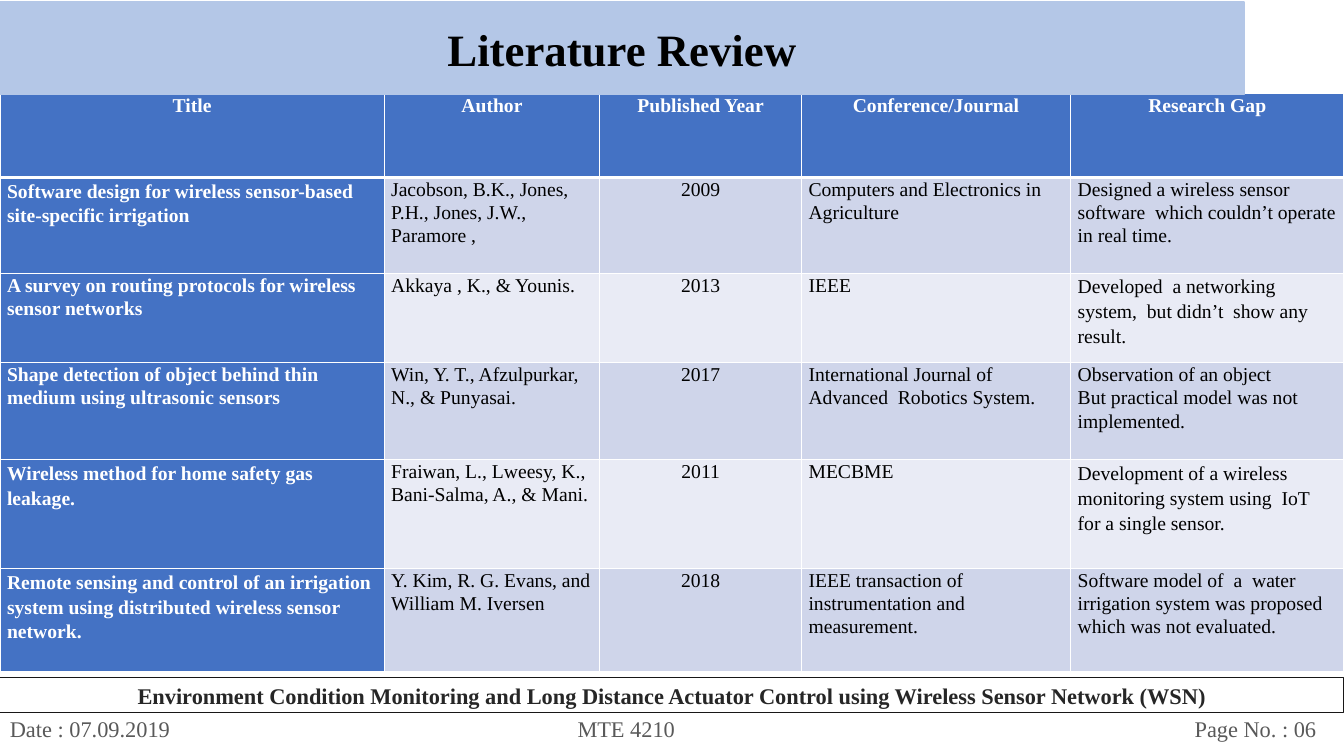
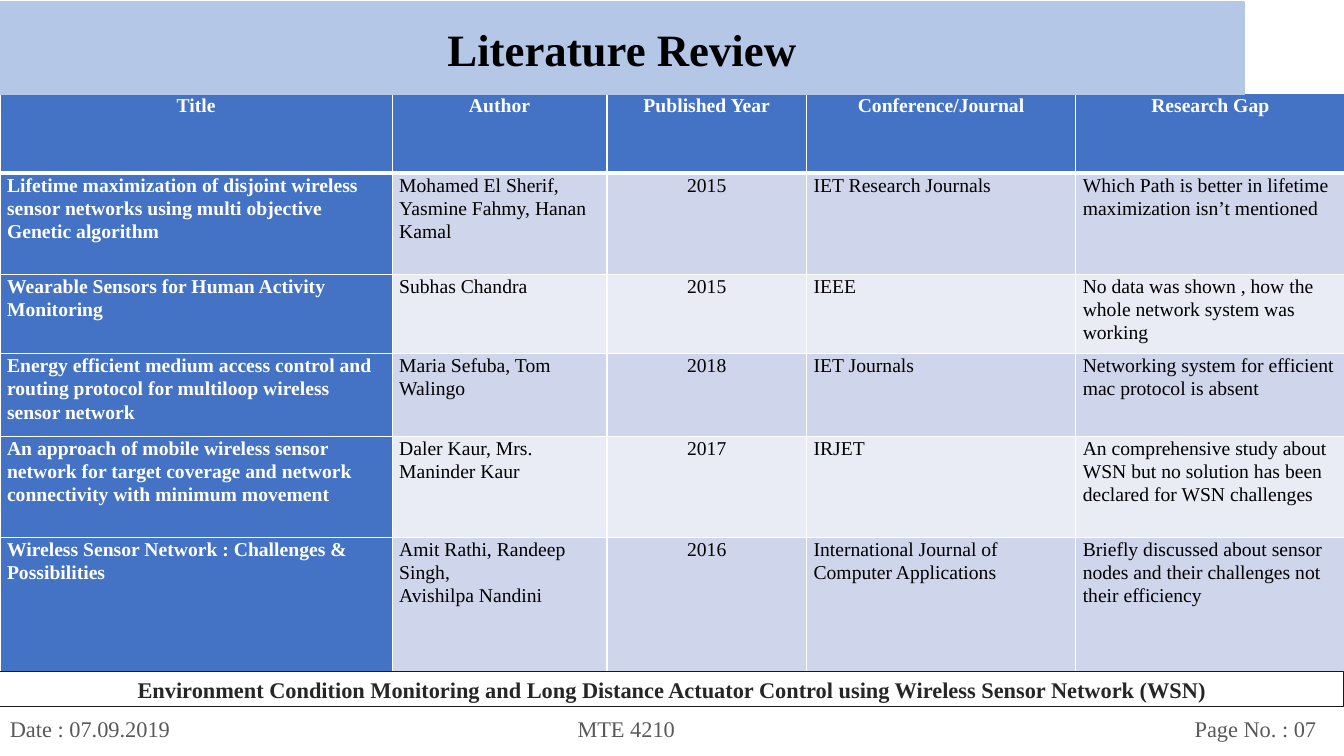
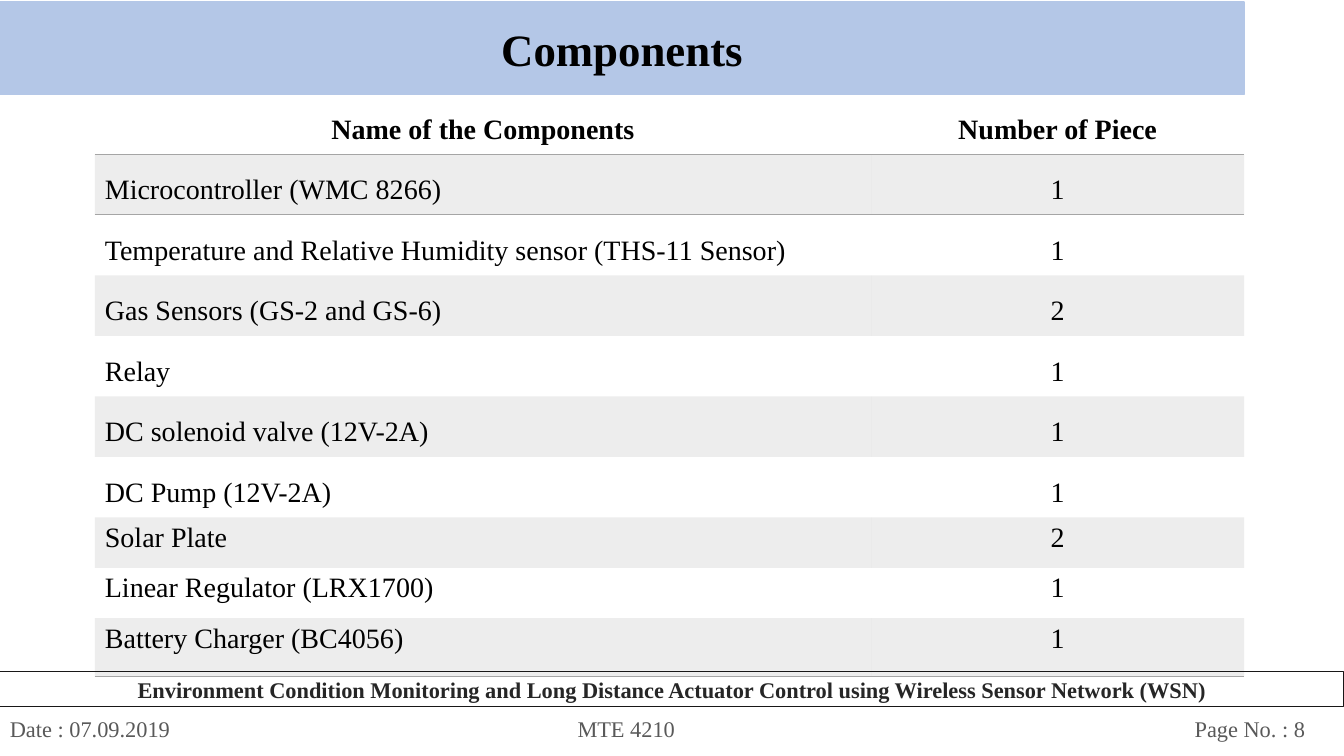
from dataclasses import dataclass

from lxml.etree import SubElement
from pptx import Presentation
from pptx.dml.color import RGBColor
from pptx.enum.shapes import MSO_SHAPE
from pptx.enum.text import MSO_ANCHOR as Anchor, PP_ALIGN as Align
from pptx.oxml.ns import qn
from pptx.util import Pt

PX = 9144  # EMU; 100 px to the inch
SLIDE_WIDTH, SLIDE_HEIGHT = 1333, 750
TABLE_TOP = 93
FONT = "Times New Roman"
PLAIN_TABLE_STYLE = "{2D5ABB26-0587-4C30-8999-92F81FD0307C}"
PROJECT = ("Environment Condition Monitoring and Long Distance Actuator Control "
           "using Wireless Sensor Network (WSN)")

BLACK = RGBColor(0x00, 0x00, 0x00)
WHITE = RGBColor(0xFF, 0xFF, 0xFF)
BLUE = RGBColor(0x44, 0x72, 0xC4)
BAND_BLUE = RGBColor(0xB4, 0xC7, 0xE7)
ROW_DARK = RGBColor(0xCF, 0xD5, 0xEA)
ROW_LIGHT = RGBColor(0xE9, 0xEB, 0xF5)
GRAY = RGBColor(0xA5, 0xA5, 0xA5)
FOOTER_GRAY = RGBColor(0x59, 0x59, 0x59)
BOX_LINE = RGBColor(0x18, 0x17, 0x17)
BOX_TEXT = RGBColor(0x26, 0x26, 0x26)


@dataclass(frozen=True)
class TextStyle:
    size: int
    color: RGBColor = BLACK
    bold: bool = False
    align: Align = Align.LEFT
    spacing: float = 1.0


@dataclass(frozen=True)
class Paper:
    title: str
    author: str
    year: str
    journal: str
    gap: str
    title_spacing: float = 1.07
    gap_spacing: float = 1.07


@dataclass(frozen=True)
class Review:
    page: str
    box_top: int
    columns: tuple[int, ...]
    rows: tuple[int, ...]
    papers: tuple[Paper, ...]


@dataclass(frozen=True)
class Component:
    name: str
    pieces: int
    height: int = 50
    spacing: float = 1.5


REVIEW_HEADINGS = ("Title", "Author", "Published Year", "Conference/Journal", "Research Gap")
REVIEWS = (
    Review("06", 672, (381, 214, 200, 267, 271), (83, 95, 89, 96, 108, 102), (
        Paper("Software design for wireless sensor-based site-specific irrigation",
              "Jacobson, B.K., Jones, P.H., Jones, J.W., Paramore ,", "2009",
              "Computers and Electronics in Agriculture",
              "Designed a wireless sensor software  which couldn’t operate in real time.",
              title_spacing=1.15),
        Paper("A survey on routing protocols for wireless sensor networks",
              "Akkaya , K., & Younis.", "2013", "IEEE",
              "Developed  a networking system,  but didn’t  show any result.",
              gap_spacing=1.15),
        Paper("Shape detection of object behind thin\vmedium using ultrasonic sensors",
              "Win, Y. T., Afzulpurkar, N., & Punyasai.", "2017",
              "International Journal of Advanced  Robotics System.",
              "Observation of an object\nBut practical model was not implemented."),
        Paper("Wireless method for home safety gas leakage.",
              "Fraiwan, L., Lweesy, K., Bani-Salma, A., & Mani.", "2011", "MECBME",
              "Development of a wireless monitoring system using  IoT  for a single sensor.",
              title_spacing=1.15, gap_spacing=1.15),
        Paper("Remote sensing and control of an irrigation system using distributed "
              "wireless sensor network.",
              "Y. Kim, R. G. Evans, and William M. Iversen", "2018",
              "IEEE transaction of instrumentation and measurement.",
              "Software model of  a  water irrigation system was proposed "
              "which was not evaluated.",
              title_spacing=1.15),
    )),
    Review("07", 666, (389, 213, 198, 267, 267), (79, 100, 79, 82, 100, 133), (
        Paper("Lifetime maximization of disjoint wireless sensor networks using "
              "multi objective\nGenetic algorithm",
              "Mohamed El Sherif, Yasmine Fahmy, Hanan Kamal", "2015",
              "IET Research Journals",
              "Which Path is better in lifetime maximization isn’t mentioned"),
        Paper("Wearable Sensors for Human Activity Monitoring", "Subhas Chandra", "2015",
              "IEEE", "No data was shown , how the whole network system was working"),
        Paper("Energy efficient medium access control and routing protocol for "
              "multiloop wireless sensor network",
              "Maria Sefuba, Tom Walingo", "2018", "IET Journals",
              "Networking system for efficient mac protocol is absent"),
        Paper("An approach of mobile wireless sensor network for target coverage and "
              "network connectivity with minimum movement",
              "Daler Kaur, Mrs. Maninder Kaur", "2017", "IRJET",
              "An comprehensive study about WSN but no solution has been declared "
              "for WSN challenges"),
        Paper("Wireless Sensor Network : Challenges & Possibilities",
              "Amit Rathi, Randeep Singh,\nAvishilpa Nandini", "2016",
              "International Journal of Computer Applications",
              "Briefly discussed about sensor nodes and their challenges "
              "not their efficiency"),
    )),
)

COMPONENTS = (
    Component("Microcontroller (WMC 8266)", 1),
    Component("Temperature and Relative Humidity sensor (THS-11 Sensor)", 1),
    Component("Gas Sensors (GS-2 and GS-6)", 2),
    Component("Relay", 1),
    Component("DC solenoid valve (12V-2A)", 1, height=60),
    Component("DC Pump (12V-2A)", 1),
    Component("Solar Plate", 2, spacing=1.0),
    Component("Linear Regulator (LRX1700)", 1, spacing=1.0),
    Component("Battery Charger (BC4056)", 1, height=58, spacing=1.0),
)


def write(text_frame, text: str, style: TextStyle) -> None:
    text_frame.text = text
    for paragraph in text_frame.paragraphs:
        paragraph.alignment = style.align
        paragraph.line_spacing = style.spacing
        for run in paragraph.runs:
            font = run.font
            font.name, font.size, font.bold = FONT, Pt(style.size), style.bold
            font.color.rgb = style.color


def add_box(slide, left: int, top: int, width: int, height: int):
    shape = slide.shapes.add_shape(
        MSO_SHAPE.RECTANGLE, left * PX, top * PX, width * PX, height * PX)
    shape.shadow.inherit = False
    return shape


def add_title_band(slide, title: str) -> None:
    band = add_box(slide, 0, 2, 1234, 92)
    band.fill.solid()
    band.fill.fore_color.rgb = BAND_BLUE
    band.line.color.rgb = BAND_BLUE
    band.line.width = Pt(1)
    write(band.text_frame, title, TextStyle(32, bold=True, align=Align.CENTER))


def add_project_box(slide, top: int) -> None:
    box = add_box(slide, 0, top, SLIDE_WIDTH, 35)
    box.fill.background()
    box.line.color.rgb = BOX_LINE
    box.line.width = Pt(0.75)
    box.text_frame.vertical_anchor = Anchor.TOP
    write(box.text_frame, PROJECT, TextStyle(16, BOX_TEXT, True, Align.CENTER))


def add_footer(slide, page: str) -> None:
    footer = slide.shapes.add_textbox(0, 705 * PX, SLIDE_WIDTH * PX, 48 * PX)
    text_frame = footer.text_frame
    text_frame.word_wrap = True
    write(text_frame, f"Date : 07.09.2019\tMTE 4210\tPage No. : {page}",
          TextStyle(16, FOOTER_GRAY))
    tabs = SubElement(text_frame.paragraphs[0]._p.get_or_add_pPr(), qn("a:tabLst"))
    for position in (563, 1175):
        SubElement(tabs, qn("a:tab"), pos=str(position * PX), algn="l")


def add_frame(slide, title: str, page: str, box_top: int) -> None:
    """Draw what every slide shares: title band, project box and footer."""
    add_footer(slide, page)
    add_title_band(slide, title)
    add_project_box(slide, box_top)


def add_plain_table(slide, left: int, columns: tuple[int, ...], rows: tuple[int, ...]):
    frame = slide.shapes.add_table(
        len(rows), len(columns), left * PX, TABLE_TOP * PX,
        sum(columns) * PX, sum(rows) * PX)
    table = frame.table
    table._tbl.tblPr.find(qn("a:tableStyleId")).text = PLAIN_TABLE_STYLE
    for column, width in zip(table.columns, columns):
        column.width = width * PX
    for row, height in zip(table.rows, rows):
        row.height = height * PX
    return table


def set_borders(cell, color: RGBColor, **widths: int) -> None:
    """Draw the sides L, R, T, B (in that order) with widths in points; call before fill."""
    properties = cell._tc.get_or_add_tcPr()
    for side, width in widths.items():
        line = SubElement(properties, qn(f"a:ln{side}"), w=str(Pt(width)))
        SubElement(SubElement(line, qn("a:solidFill")), qn("a:srgbClr"), val=str(color))


def set_fill(cell, color: RGBColor, opacity: int = 100) -> None:
    cell.fill.solid()
    cell.fill.fore_color.rgb = color
    if opacity < 100:
        color_element = cell._tc.tcPr.find(f"{qn('a:solidFill')}/{qn('a:srgbClr')}")
        SubElement(color_element, qn("a:alpha"), val=str(opacity * 1000))


def fill_review_cell(cell, text: str, row: int, column: int, spacing: float) -> None:
    cell.margin_left = cell.margin_right = 7 * PX
    cell.margin_top = cell.margin_bottom = 0
    is_heading = row == 0 or column == 0
    set_borders(cell, WHITE, L=1, R=1, T=3 if row == 1 else 1, B=3 if row == 0 else 1)
    set_fill(cell, BLUE if is_heading else ROW_DARK if row % 2 else ROW_LIGHT)
    align = Align.CENTER if row == 0 or column == 2 else Align.LEFT
    write(cell.text_frame, text,
          TextStyle(14, WHITE if is_heading else BLACK, is_heading, align, spacing))


def add_review_slide(presentation, review: Review) -> None:
    slide = presentation.slides.add_slide(presentation.slide_layouts[6])
    table = add_plain_table(slide, 0, review.columns, review.rows)
    for column, heading in enumerate(REVIEW_HEADINGS):
        fill_review_cell(table.cell(0, column), heading, 0, column, 1.07)
    for row, paper in enumerate(review.papers, start=1):
        texts = (paper.title, paper.author, paper.year, paper.journal, paper.gap)
        spacings = (paper.title_spacing, 1.07, 1.07, 1.07, paper.gap_spacing)
        for column, (text, spacing) in enumerate(zip(texts, spacings)):
            fill_review_cell(table.cell(row, column), text, row, column, spacing)
    add_frame(slide, "Literature Review", review.page, review.box_top)


def add_components_slide(presentation) -> None:
    slide = presentation.slides.add_slide(presentation.slide_layouts[6])
    heights = (50, *(component.height for component in COMPONENTS))
    table = add_plain_table(slide, 94, (770, 370), heights)
    for column, heading in enumerate(("Name of the Components", "Number of Piece")):
        cell = table.cell(0, column)
        set_borders(cell, GRAY, T=1, B=1)
        write(cell.text_frame, heading,
              TextStyle(20, bold=True, align=Align.CENTER, spacing=1.5))
    for row, component in enumerate(COMPONENTS, start=1):
        entries = ((component.name, Align.LEFT), (str(component.pieces), Align.CENTER))
        for column, (text, align) in enumerate(entries):
            cell = table.cell(row, column)
            if row == 1:
                set_borders(cell, GRAY, T=1)
            if row == len(COMPONENTS):
                set_borders(cell, GRAY, B=1)
            if row % 2:
                set_fill(cell, GRAY, opacity=20)
            write(cell.text_frame, text,
                  TextStyle(20, align=align, spacing=component.spacing))
    add_frame(slide, "Components", "8", 666)


def main() -> None:
    presentation = Presentation()
    presentation.slide_width = SLIDE_WIDTH * PX
    presentation.slide_height = SLIDE_HEIGHT * PX
    for review in REVIEWS:
        add_review_slide(presentation, review)
    add_components_slide(presentation)
    presentation.save("out.pptx")


if __name__ == "__main__":
    main()
